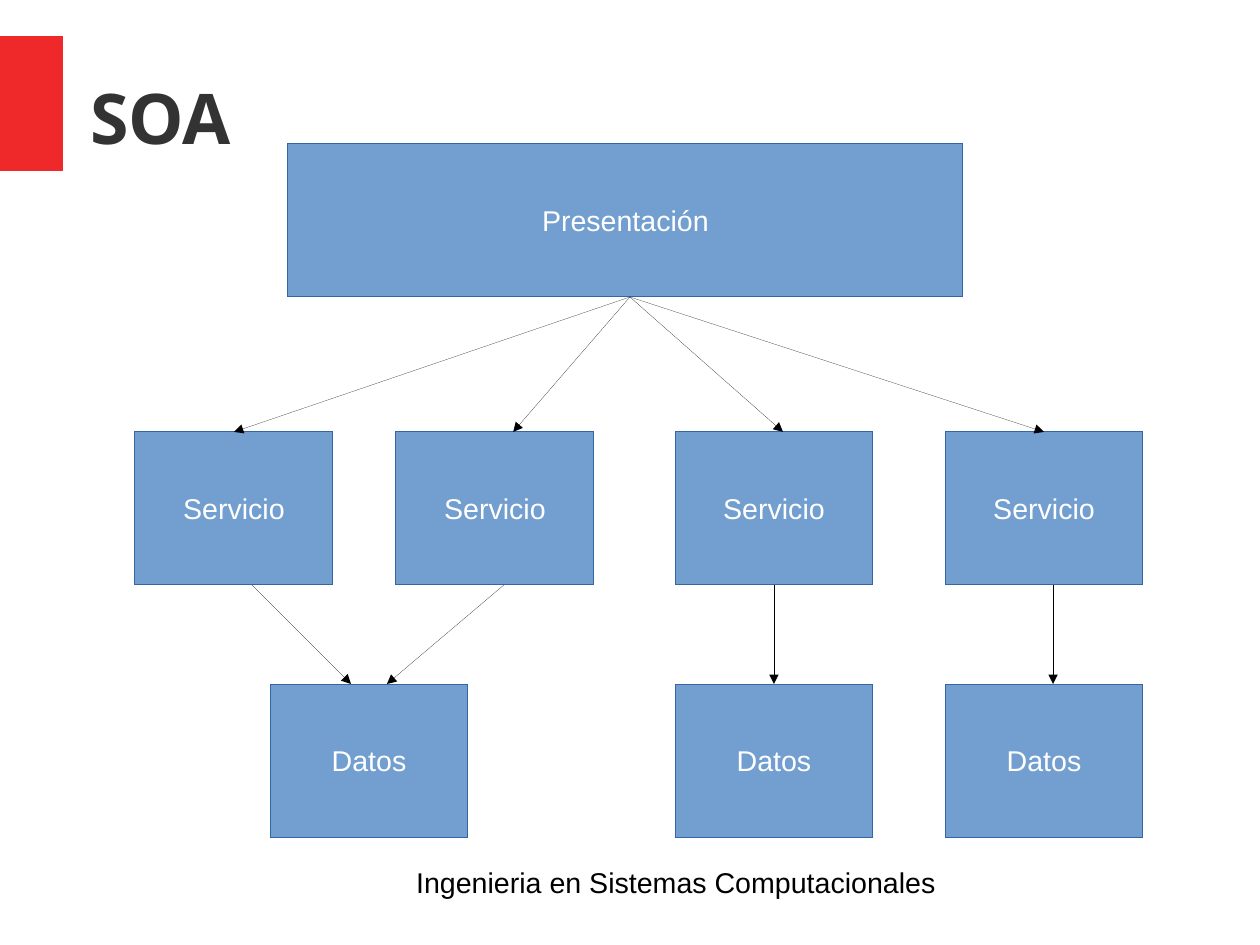
"""Build the SOA slide: a presentation layer, its services and their data."""
from lxml import etree
from pptx import Presentation
from pptx.dml.color import RGBColor
from pptx.enum.shapes import MSO_CONNECTOR, MSO_SHAPE
from pptx.enum.text import MSO_ANCHOR, PP_ALIGN
from pptx.oxml.ns import qn
from pptx.util import Pt

RECTANGLE = MSO_SHAPE.RECTANGLE
STRAIGHT = MSO_CONNECTOR.STRAIGHT
MIDDLE, TOP = MSO_ANCHOR.MIDDLE, MSO_ANCHOR.TOP
CENTER, LEFT = PP_ALIGN.CENTER, PP_ALIGN.LEFT
TOP_SIDE, BOTTOM_SIDE = 0, 2

PAGE_SIZE = (793.7, 595.3)
ACCENT = (0, 22.7, 39.7, 85)
TITLE = ("SOA", (56.7, 23.8, 697, 99.2))
FOOTER = ("Ingenieria en Sistemas Computacionales", (255.1, 541.4, 345.6, 46.8))

BOX_HEIGHT = 96.4
LAYERS = [
    ("Presentación", 90.7, 425.2, [181.4]),
    ("Servicio", 272.1, 124.7, [85, 249.4, 425.2, 595.3]),
    ("Datos", 430.9, 124.7, [170.1, 425.2, 595.3]),
]
ARROWS = [
    {"source": (0, 0), "source_shift": 2.8, "target": (1, 0), "target_shift": 0},
    {"source": (0, 0), "source_shift": 2.8, "target": (1, 1), "target_shift": 11.5},
    {"source": (0, 0), "source_shift": 2.8, "target": (1, 2), "target_shift": 5.7},
    {"source": (0, 0), "source_shift": 2.8, "target": (1, 3), "target_shift": 0},
    {"source": (1, 0), "source_shift": 11.3, "target": (2, 0), "target_shift": -11.3},
    {"source": (1, 1), "source_shift": 5.7, "target": (2, 0), "target_shift": 11.3},
    {"source": (1, 2), "source_shift": 0, "target": (2, 1), "target_shift": 0},
    {"source": (1, 3), "source_shift": 5.7, "target": (2, 2), "target_shift": 5.7},
]

THEME = {
    "accent": "EF2929",
    "box": "729FCF",
    "box_line": "3465A4",
    "arrow": "000000",
    "hairline": 0.01,
    "title": {"name": "Open Sans", "size": 44, "bold": True, "color": "333333"},
    "label": {"name": "Arial", "size": 18, "bold": False, "color": "FFFFFF"},
    "footer": {"name": "Arial", "size": 18, "bold": False, "color": "000000"},
}


def points(values):
    return [Pt(value) for value in values]


def draw_line(line, color):
    line.color.rgb = RGBColor.from_string(color)
    line.width = Pt(THEME["hairline"])


def write(shape, text, style, align=LEFT, anchor=TOP, wrap=True, margins=(7.2, 3.6)):
    side, edge = points(margins)
    frame = shape.text_frame
    frame_format = {"word_wrap": wrap, "vertical_anchor": anchor,
                    "margin_left": side, "margin_right": side,
                    "margin_top": edge, "margin_bottom": edge}
    for name, value in frame_format.items():
        setattr(frame, name, value)
    para = frame.paragraphs[0]
    para.alignment = align
    span = para.add_run()
    span.text = text
    font_format = {"name": style["name"], "size": Pt(style["size"]), "bold": style["bold"]}
    for name, value in font_format.items():
        setattr(span.font, name, value)
    span.font.color.rgb = RGBColor.from_string(style["color"])


def add_rectangle(page, place, fill, outline=None):
    box = page.shapes.add_shape(RECTANGLE, *points(place))
    box.shadow.inherit = False
    box.fill.solid()
    box.fill.fore_color.rgb = RGBColor.from_string(fill)
    if outline:
        draw_line(box.line, outline)
    else:
        box.line.fill.background()
    return box


def add_arrow(page, boxes, source, source_shift, target, target_shift):
    upper, lower = boxes[source], boxes[target]
    start_x = upper.left + upper.width // 2 + Pt(source_shift)
    end_x = lower.left + lower.width // 2 + Pt(target_shift)
    arrow = page.shapes.add_connector(
        STRAIGHT, start_x, upper.top + upper.height, end_x, lower.top)
    if source_shift == 0:
        arrow.begin_connect(upper, BOTTOM_SIDE)
    if target_shift == 0:
        arrow.end_connect(lower, TOP_SIDE)
    draw_line(arrow.line, THEME["arrow"])
    properties = arrow.element.spPr
    etree.SubElement(properties.find(qn("a:ln")), qn("a:tailEnd"), type="triangle")
    etree.SubElement(properties, qn("a:effectLst"))


def main():
    deck = Presentation()
    deck.slide_width, deck.slide_height = points(PAGE_SIZE)
    page = deck.slides.add_slide(deck.slide_layouts[6])

    add_rectangle(page, ACCENT, THEME["accent"])
    title, place = TITLE
    write(page.shapes.add_textbox(*points(place)), title, THEME["title"],
          anchor=MIDDLE, margins=(0, 0))

    boxes = {}
    for layer, (label, top, width, lefts) in enumerate(LAYERS):
        for column, left in enumerate(lefts):
            box = add_rectangle(page, (left, top, width, BOX_HEIGHT),
                                THEME["box"], THEME["box_line"])
            write(box, label, THEME["label"], CENTER, MIDDLE, wrap=False)
            boxes[layer, column] = box

    for arrow in ARROWS:
        add_arrow(page, boxes, **arrow)

    footer, place = FOOTER
    write(page.shapes.add_textbox(*points(place)), footer, THEME["footer"])
    deck.save("out.pptx")


if __name__ == "__main__":
    main()
